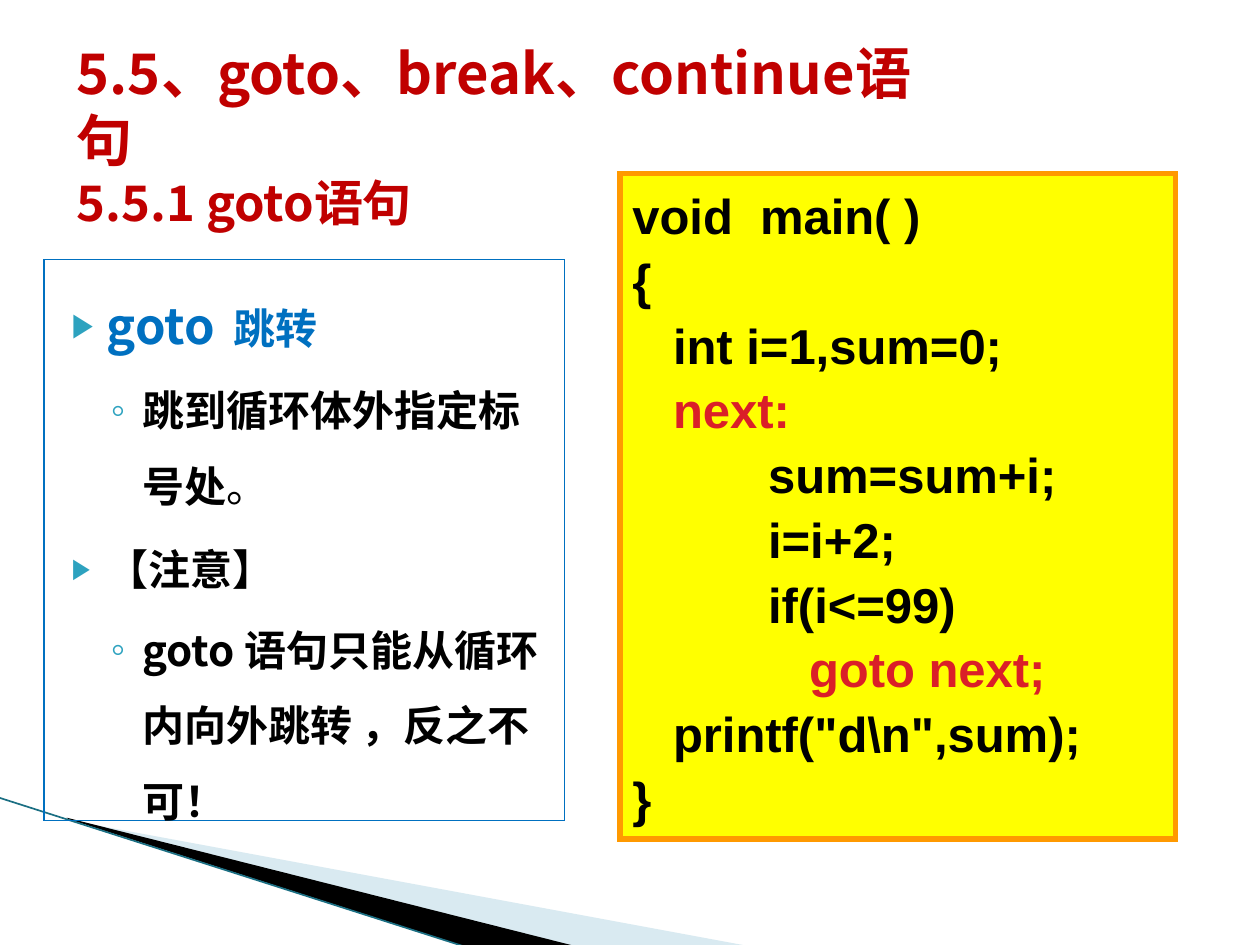
from dataclasses import dataclass

from lxml.etree import SubElement as Sub
from pptx import Presentation
from pptx.dml.color import RGBColor as Rgb
from pptx.enum.shapes import MSO_CONNECTOR as Link, MSO_SHAPE as Kind
from pptx.enum.text import MSO_ANCHOR as Anchor, PP_ALIGN as Align
from pptx.oxml.ns import qn
from pptx.util import Inches, Pt

HUES = {"red": "C00000", "blue": "0070C0", "black": "000000", "mark": "DA1F28",
        "teal": "2DA2BF", "pale": "A0CBDC", "edge": "1B6F83",
        "yellow": "FFFF00", "orange": "FF9900"}
CJK = "Noto Sans CJK SC"


@dataclass
class Run:
    """A piece of text with its own look."""
    text: str
    size: float = 24
    hue: str = "black"
    bold: bool = True


@dataclass
class Level:
    """Bullet and indents of an outline level."""
    sign: str
    left: float
    hang: float
    gap: float
    scale: int


@dataclass
class Item:
    """A bulleted paragraph."""
    level: Level
    runs: list[Run]


TOP = Level("▶", 0.4, 0.28, 4, 68)
LOW = Level("◦", 0.68, 0.25, 3.2, 100)
ITEMS = [
    Item(TOP, [Run("goto", 28, "blue"), Run("  跳转", 24, "blue")]),
    Item(LOW, [Run("跳到循环体外指定标号处"), Run("。", bold=False)]),
    Item(TOP, [Run("【注意】")]),
    Item(LOW, [Run("goto 语句只能从循环内向外跳转 ，反之不可！")]),
]
CODE = [
    ("void  main( )", ""),
    ("{", ""),
    ("   int i=1,sum=0;", ""),
    ("   ", "next:"),
    ("          sum=sum+i;", ""),
    ("          i=i+2;", ""),
    ("          if(i<=99)", ""),
    ("             ", "goto next;"),
    ('   printf("d\\n",sum);', ""),
    ("}", ""),
]
WEDGES = [
    ([(0.55, 6.51), (5.95, 7.51), (4.56, 7.51), (0.55, 6.5)], "pale", 40),
    ([(0.53, 6.49), (4.57, 7.51), (3.72, 7.52), (0.54, 6.5)], "black", 100),
]


def tint(name: str) -> Rgb:
    """Look up a colour."""
    return Rgb.from_string(HUES[name])


def wedge(slide, pts: list, hue: str, alpha: int) -> None:
    """Draw a filled corner wedge."""
    (x, y), *rest = [(Inches(a), Inches(b)) for a, b in pts]
    pen = slide.shapes.build_freeform(x, y)
    pen.add_line_segments(rest, close=True)
    shape = pen.convert_to_shape()
    shape.shadow.inherit = False
    shape.line.fill.background()
    shape.fill.solid()
    shape.fill.fore_color.rgb = tint(hue)
    if alpha < 100:
        clr = shape.fill._xPr.find(f"{qn('a:solidFill')}/{qn('a:srgbClr')}")
        Sub(clr, qn("a:alpha"), val=str(alpha * 1000))


def panel(slide, box: tuple, line: str, width: float, fill: str = ""):
    """Draw a framed rectangle and return its text frame."""
    shape = slide.shapes.add_shape(Kind.RECTANGLE, *map(Inches, box))
    shape.shadow.inherit = False
    if fill:
        shape.fill.solid()
        shape.fill.fore_color.rgb = tint(fill)
    else:
        shape.fill.background()
    shape.line.color.rgb = tint(line)
    shape.line.width = Pt(width)
    Sub(shape.line._get_or_add_ln(), qn("a:miter"), lim="800000")
    frame = shape.text_frame
    frame.word_wrap = True
    frame.vertical_anchor = Anchor.TOP
    return frame


def put(para, run: Run, face: str = CJK) -> None:
    """Add a run to a paragraph."""
    part = para.add_run()
    part.text = run.text
    font = part.font
    font.name = face
    font.size = Pt(run.size)
    font.bold = run.bold
    font.color.rgb = tint(run.hue)
    if face == CJK:
        Sub(part._r.get_or_add_rPr(), qn("a:ea"), typeface=face)


def lines(frame, count: int) -> list:
    """Give a frame its left-aligned paragraphs."""
    paras = [frame.paragraphs[0]]
    paras += [frame.add_paragraph() for _ in range(count - 1)]
    for para in paras:
        para.alignment = Align.LEFT
    return paras


def bullet(para, level: Level) -> None:
    """Set the bullet and indents of a paragraph."""
    ppr = para._p.get_or_add_pPr()
    ppr.set("marL", str(Inches(level.left)))
    ppr.set("indent", str(-Inches(level.hang)))
    Sub(Sub(ppr, qn("a:buClr")), qn("a:srgbClr"), val=HUES["teal"])
    Sub(ppr, qn("a:buSzPct"), val=str(level.scale * 1000))
    Sub(ppr, qn("a:buFont"), typeface="Arial")
    Sub(ppr, qn("a:buChar"), char=level.sign)


def title(slide, box: tuple, run: Run) -> None:
    """Write a heading."""
    frame = slide.shapes.add_textbox(*map(Inches, box)).text_frame
    frame.word_wrap = True
    frame.vertical_anchor = Anchor.MIDDLE
    put(frame.paragraphs[0], run)


def main() -> None:
    """Build the slide."""
    deck = Presentation()
    deck.slide_width, deck.slide_height = Inches(10), Inches(7.5)
    slide = deck.slides.add_slide(deck.slide_layouts[6])

    for pts, hue, alpha in WEDGES:
        wedge(slide, pts, hue, alpha)
    ends = map(Inches, (-0.01, 6.33, 3.71, 7.52))
    rim = slide.shapes.add_connector(Link.STRAIGHT, *ends)
    rim.line.color.rgb = tint("edge")
    rim.line.width = Pt(0.95)
    Sub(rim._element.spPr, qn("a:effectLst"))

    notes = panel(slide, (0.35, 2.06, 4.13, 4.45), "blue", 0.75)
    for i, (para, item) in enumerate(zip(lines(notes, len(ITEMS)), ITEMS)):
        bullet(para, item.level)
        para.line_spacing = 1.5
        if i:
            para.space_before = Pt(item.level.gap)
        for run in item.runs:
            put(para, run)

    title(slide, (0.51, 1.36, 3.31, 0.49), Run("5.5.1 goto语句", 28, "red"))

    code = panel(slide, (4.92, 1.38, 4.41, 5.28), "orange", 3, "yellow")
    for para, (plain, mark) in zip(lines(code, len(CODE)), CODE):
        para.line_spacing = 1.1
        put(para, Run(plain, 28), "Arial")
        if mark:
            put(para, Run(mark, 28, "mark"), "Arial")

    title(slide, (0.51, 0.56, 7.01, 0.55),
          Run("5.5、goto、break、continue语句", 32, "red"))
    deck.save("out.pptx")


if __name__ == "__main__":
    main()
